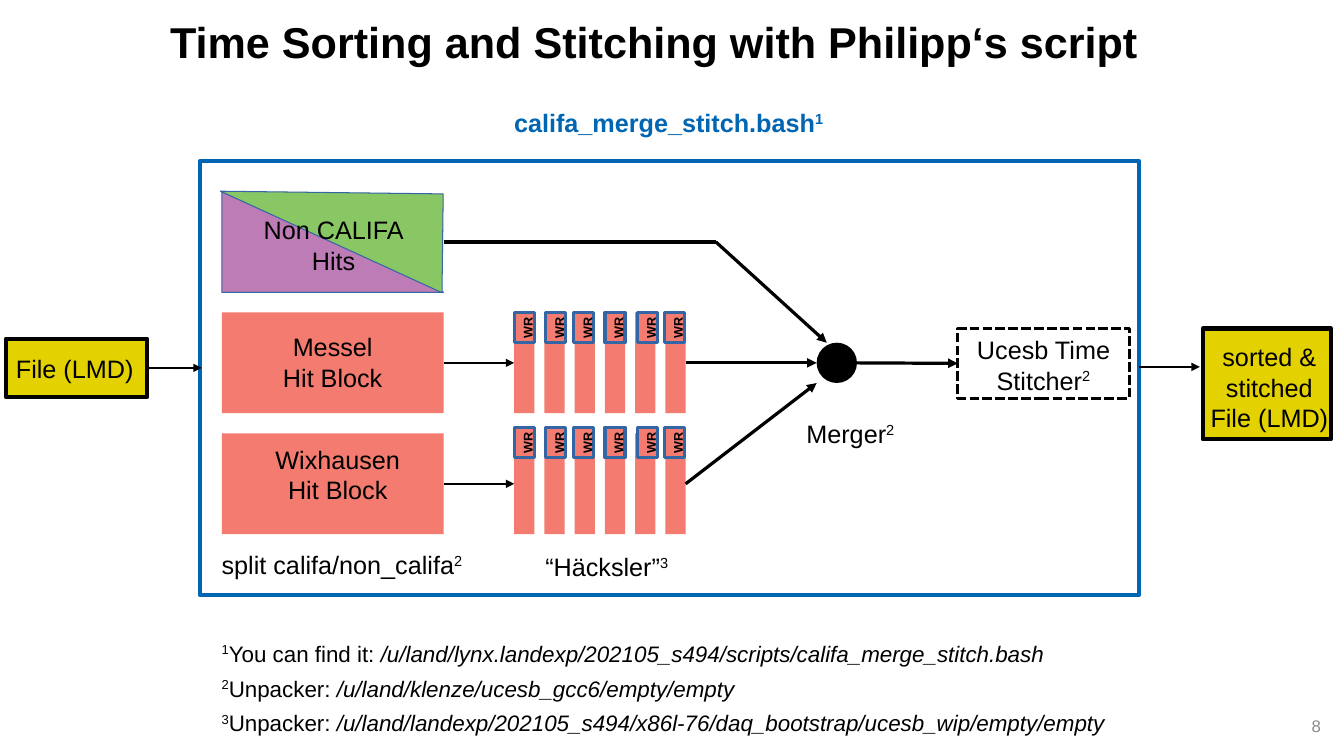
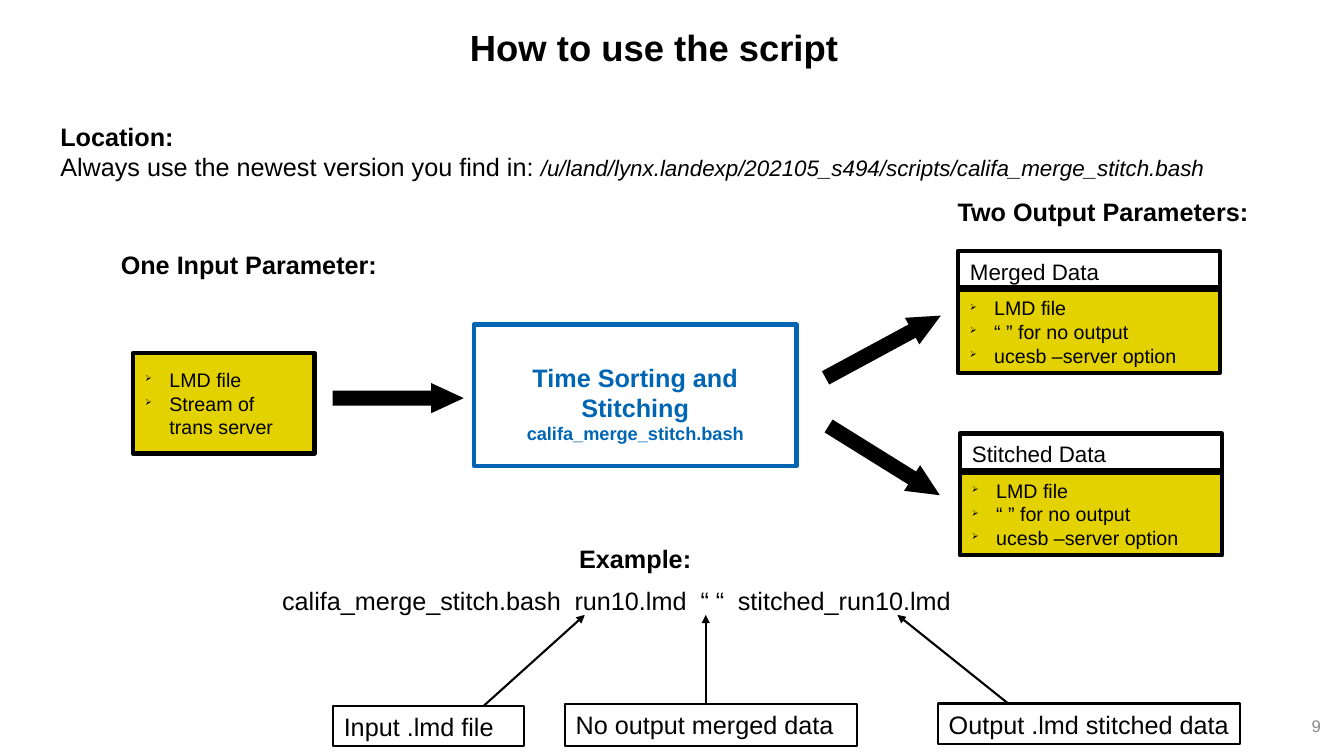
"""Builds two slides on time sorting and stitching of LMD files."""
from lxml import etree
from pptx import Presentation
from pptx import util as u
from pptx.dml.color import RGBColor
from pptx.enum import dml, shapes, text
from pptx.oxml.ns import qn

PX = 9144
BLACK, BLUE, YELLOW, SALMON = "000000", "0066B3", "E3D200", "F37B70"
EDGE, PURPLE, GREEN, GREY, WHITE = "3465A4", "BD7CB5", "89C765", "8B8B8B", "FFFFFF"
SHAPE, ALIGN, ANCHOR = shapes.MSO_SHAPE, text.PP_ALIGN, text.MSO_ANCHOR
LEFT, CENTER, RIGHT = ALIGN.LEFT, ALIGN.CENTER, ALIGN.RIGHT
PAD = (10, 5, 10, 5)

TITLES = [("Time Sorting and Stitching with Philipp‘s script", 30.8, 0.7),
          ("How to use the script", 26, 1)]
FIRST_NUMBER = 8
SCRIPT = "califa_merge_stitch.bash"
SCRIPT_PATH = "/u/land/lynx.landexp/202105_s494/scripts/" + SCRIPT

STAGE_LABELS = [
    ((500, 102, 680, 38), SCRIPT, "1", "b", BLUE),
    ((210, 540, 270, 38), "split califa/non_califa", "2", "", BLACK),
    ((531, 542, 190, 38), "“Häcksler”", "3", "", BLACK),
    ((790, 410, 150, 38), "Merger", "2", "", BLACK),
]
FOOTNOTES = [
    ("1", "You can find it: ", SCRIPT_PATH),
    ("2", "Unpacker: ", "/u/land/klenze/ucesb_gcc6/empty/empty"),
    ("3", "Unpacker: ", "/u/land/landexp/202105_s494/x86l-76/daq_bootstrap/ucesb_wip/empty/empty"),
]
HIT_BLOCKS = [
    (310, 310, ["Messel", "Hit Block"], (10, 19, 10, 5)),
    (430, 424, ["Wixhausen", "Hit Block"], (15, 11, 5, 5)),
]
BAR_LEFT, BAR_STEP, BAR_COUNT = 510, 30, 6
TAG_LEFTS = [510, 541, 569, 600, 632, 659]

HEADINGS = [((110, 242, 310, 38), "One Input Parameter:"),
            ((940, 190, 390, 38), "Two Output Parameters:")]
INPUT_OPTIONS = ["LMD file", "Stream of trans server"]
OUTPUT_OPTIONS = ["LMD file", "“ ” for no output", "ucesb –server option"]
OUTPUTS = [(950, 249, "Merged Data"), (952, 430, "Stitched Data")]
BLOCK_ARROWS = [(330, 380, 0), (811, 329, 331.6), (812, 442, 31.9)]
COMMAND = [SCRIPT, "run10.lmd", "“ “", "stitched_run10.lmd"]
COMMAND_TABS = [290, 415, 452]
ARGUMENTS = [
    ((330, 700, 190, 40), "Input .lmd file", (480, 700), (580, 610)),
    ((560, 698, 290, 42), "No output merged data", (700, 698), (700, 610)),
    ((930, 698, 300, 40), "Output .lmd stitched data", (1000, 698), (890, 610)),
]


def rgb(color):
    return RGBColor.from_string(color)


def write(sp, paras, size=18, color=BLACK, align=LEFT, pad=PAD, anchor=ANCHOR.TOP,
          after=0, spacing=None, bullet=False, tabs=()):
    """Fills a shape; a paragraph is a string or a list of (text, flags, size) runs."""
    tf = sp.text_frame
    tf.word_wrap, tf.vertical_anchor = True, anchor
    tf.margin_left, tf.margin_top, tf.margin_right, tf.margin_bottom = [v * PX for v in pad]
    for i, para in enumerate(paras):
        p = tf.paragraphs[0] if i == 0 else tf.add_paragraph()
        p.alignment, p.space_after, p.line_spacing = align, u.Pt(after), spacing
        pPr = p._p.get_or_add_pPr()
        if bullet:
            pPr.set("marL", str(24 * PX))
            pPr.set("indent", str(-24 * PX))
            etree.SubElement(pPr, qn("a:buSzPct"), val="45000")
            etree.SubElement(pPr, qn("a:buChar"), char="➢")
        if tabs:
            stops = etree.SubElement(pPr, qn("a:tabLst"))
            for pos in tabs:
                etree.SubElement(stops, qn("a:tab"), pos=str(pos * PX), algn="l")
        for run in [(para,)] if isinstance(para, str) else para:
            words, flags, run_size = (run + ("", size)[len(run) - 1:])[:3]
            r = p.add_run()
            r.text = words
            r.font.name, r.font.size = "Arial", u.Pt(run_size)
            r.font.color.rgb = rgb(color)
            r.font.bold, r.font.italic = "b" in flags, "i" in flags
            if "^" in flags:
                r._r.get_or_add_rPr().set("baseline", "33000")


def label(s, box, paras, rot=0, **style):
    sp = s.shapes.add_textbox(*[v * PX for v in box])
    sp.rotation = rot
    write(sp, paras, **style)


def shape(s, box, fill=None, line=None, pt=3, kind=SHAPE.RECTANGLE, rot=0):
    sp = s.shapes.add_shape(kind, *[v * PX for v in box])
    sp.shadow.inherit = False
    sp.rotation = rot
    if fill:
        sp.fill.solid()
        sp.fill.fore_color.rgb = rgb(fill)
    else:
        sp.fill.background()
    if line:
        sp.line.color.rgb = rgb(line)
        sp.line.width = u.Pt(pt)
    else:
        sp.line.fill.background()
    return sp


def link(s, start, end, pt=1.5, head=True, begin_at=None, end_at=None):
    """Draws a line; begin_at and end_at are (shape, site) pairs to join."""
    c = s.shapes.add_connector(shapes.MSO_CONNECTOR.STRAIGHT, *[v * PX for v in start + end])
    c.line.color.rgb = rgb(BLACK)
    c.line.width = u.Pt(pt)
    if head:
        etree.SubElement(c.line._get_or_add_ln(), qn("a:tailEnd"), type="triangle")
    etree.SubElement(c._element.spPr, qn("a:effectLst"))
    if begin_at:
        c.begin_connect(*begin_at)
    if end_at:
        c.end_connect(*end_at)


def new_slide(prs, index):
    s = prs.slides.add_slide(prs.slide_layouts[6])
    title, size, spacing = TITLES[index]
    label(s, (92, 22, 1114, 50), [[(title, "b")]], size=size, align=CENTER,
          anchor=ANCHOR.MIDDLE, spacing=spacing, pad=(0, 0, 0, 0))
    label(s, (1020, 700, 300, 40), [str(FIRST_NUMBER + index)], size=12, color=GREY,
          align=RIGHT, anchor=ANCHOR.MIDDLE)
    return s


def pipeline_slide(prs):
    s = new_slide(prs, 0)
    shape(s, (198, 160, 932, 430), WHITE, BLUE)
    source = shape(s, (6, 336, 140, 58), YELLOW, BLACK)
    write(source, ["File (LMD)"], pad=(10, 15, 5, 5))
    result = shape(s, (1193, 326, 127, 110), YELLOW, BLACK)
    write(result, ["sorted &", "stitched", "File (LMD)"], align=CENTER, pad=(5, 13, 0, 5))
    stitcher = shape(s, (950, 326, 170, 69), None, BLACK, 2.3)
    stitcher.line.dash_style = dml.MSO_LINE.SQUARE_DOT
    write(stitcher, [[("Ucesb Time Stitcher",), ("2", "^")]], align=CENTER, pad=(11, 6, 11, 6))

    shape(s, (220, 190, 220, 100), PURPLE, EDGE, 0, SHAPE.RIGHT_TRIANGLE)
    shape(s, (218, 191, 221, 98), GREEN, EDGE, 0, SHAPE.RIGHT_TRIANGLE, 180.7)
    label(s, (246, 208, 170, 66), ["Non CALIFA", "Hits"], align=CENTER)
    link(s, (440, 240), (710, 240), 2.3, head=False)
    link(s, (710, 240), (820, 340), 2.3)

    shape(s, (810, 340, 40, 40), BLACK, kind=SHAPE.OVAL)
    for (top, tag_top, words, pad), merge_y in zip(HIT_BLOCKS, (360, 380)):
        block = shape(s, (220, top, 220, 100), SALMON)
        write(block, words, align=CENTER, pad=pad)
        bars = [shape(s, (BAR_LEFT + i * BAR_STEP, top, 20, 100), SALMON)
                for i in range(BAR_COUNT)]
        mid = top + 50
        link(s, (440, mid), (510, mid), begin_at=(block, 3), end_at=(bars[0], 1))
        link(s, (680, mid), (810, merge_y), 2.3, begin_at=(bars[-1], 3))
        for x in TAG_LEFTS:
            shape(s, (x, tag_top, 20, 30), SALMON, EDGE, 2.3)
            label(s, (x - 12, tag_top + 3, 50, 24), [[("WR", "b")]], rot=270, size=9,
                  align=CENTER)

    link(s, (850, 360), (950, 360), 2.3, end_at=(stitcher, 1))
    link(s, (146, 365), (200, 365), begin_at=(source, 3))
    link(s, (1130, 364), (1190, 364))
    for box, words, note, flags, color in STAGE_LABELS:
        label(s, box, [[(words, flags), (note, flags + "^")]], color=color)
    label(s, (210, 630, 1040, 110),
          [[(note, "^"), (words,), (path, "i")] for note, words, path in FOOTNOTES],
          size=16, after=5.6)


def usage_slide(prs):
    s = new_slide(prs, 1)
    label(s, (50, 115, 1180, 75),
          [[("Location:", "b")],
           [("Always use the newest version you find in: ",), (SCRIPT_PATH, "i", 16)]])
    for box, words in HEADINGS:
        label(s, box, [[(words, "b")]])

    process = shape(s, (470, 322, 320, 140), None, BLUE)
    write(process, [[("Time Sorting and", "b")], [("Stitching", "b")], [(SCRIPT, "b", 13)]],
          color=BLUE, align=CENTER, pad=(12, 37, 12, 7))
    options = shape(s, (132, 350, 180, 100), YELLOW, BLACK)
    write(options, INPUT_OPTIONS, size=14, bullet=True, pad=(12, 15, 18, 5))
    for x, y, name in OUTPUTS:
        options = shape(s, (x, y + 36, 260, 85), YELLOW, BLACK)
        write(options, OUTPUT_OPTIONS, size=14, bullet=True, pad=(12, 9, 10, 5))
        header = shape(s, (x, y, 260, 39), None, BLACK)
        write(header, [name], size=16, pad=(12, 7, 12, 7))
    for x, y, rot in BLOCK_ARROWS:
        arrow = shape(s, (x, y, 130, 30), BLACK, kind=SHAPE.RIGHT_ARROW, rot=rot)
        arrow.adjustments[0], arrow.adjustments[1] = 0.5, 1.08

    label(s, (270, 534, 720, 38), [[("Example:", "b")]], align=CENTER)
    label(s, (270, 576, 720, 38), ["\t".join(COMMAND)], tabs=COMMAND_TABS)
    for box, words, start, end in ARGUMENTS:
        write(shape(s, box, None, BLACK, 1.5), [words], pad=(11, 6, 5, 6))
        link(s, start, end)


def main():
    prs = Presentation()
    prs.slide_width, prs.slide_height = 1333 * PX, 750 * PX
    pipeline_slide(prs)
    usage_slide(prs)
    prs.save("out.pptx")


if __name__ == "__main__":
    main()
